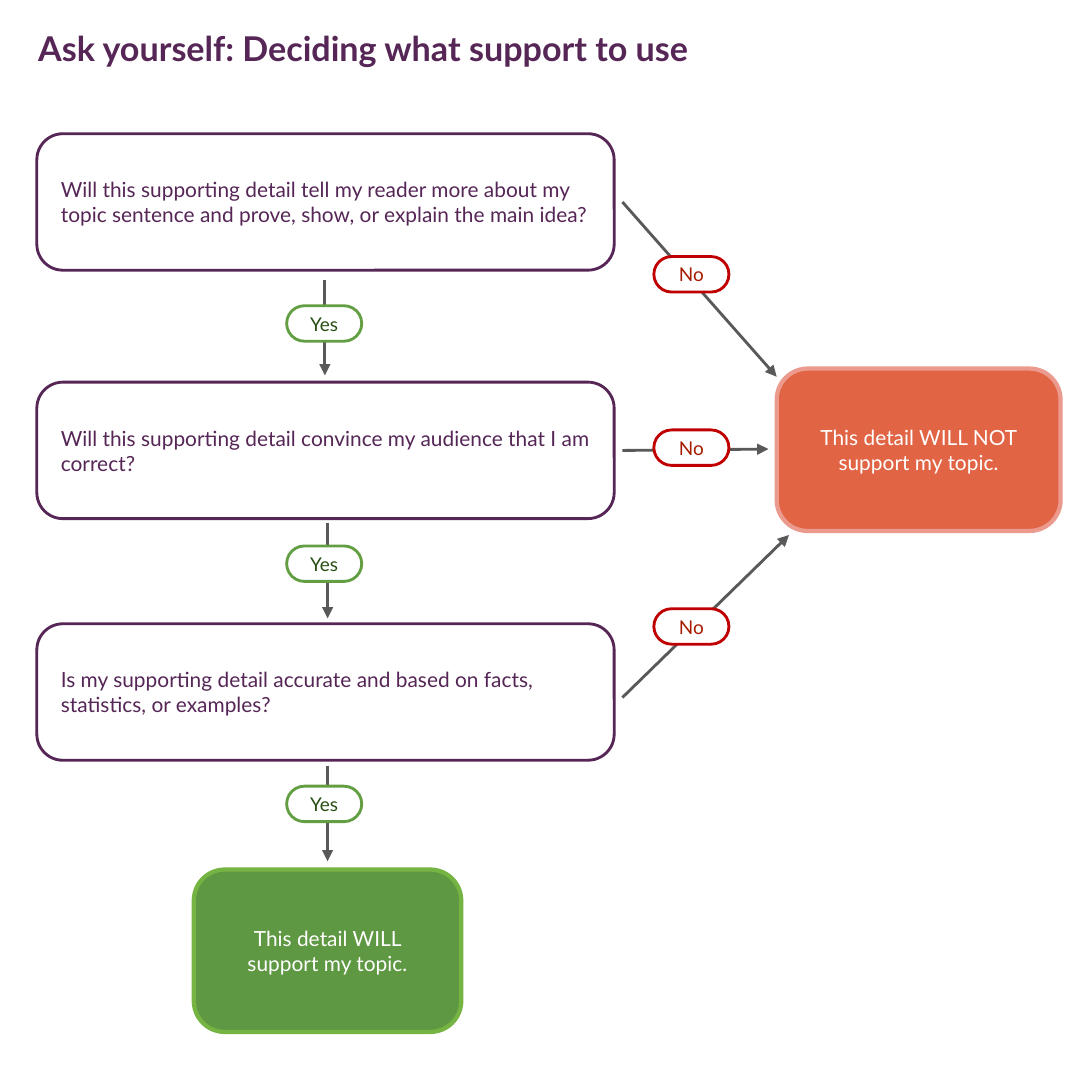
from dataclasses import dataclass

from lxml import etree
from pptx import Presentation
from pptx.dml.color import RGBColor
from pptx.enum.shapes import MSO_CONNECTOR, MSO_SHAPE
from pptx.enum.text import MSO_ANCHOR, MSO_AUTO_SIZE, PP_ALIGN
from pptx.oxml.ns import qn
from pptx.slide import Slide
from pptx.util import Inches, Pt

ROUNDED = MSO_SHAPE.ROUNDED_RECTANGLE
STRAIGHT = MSO_CONNECTOR.STRAIGHT
LEFT, CENTER = PP_ALIGN.LEFT, PP_ALIGN.CENTER
TOP, MIDDLE = MSO_ANCHOR.TOP, MSO_ANCHOR.MIDDLE
FONT = "Lato"
INSET = 0.12

COLORS = {
    "purple": "552656",
    "white": "FFFFFF",
    "orange": "E16445",
    "pink": "EC998E",
    "green": "5F9842",
    "lime": "75B443",
    "yes line": "639F42",
    "yes text": "274E13",
    "no line": "C00000",
    "no text": "A61C00",
    "gray": "595959",
}


@dataclass(frozen=True)
class BoxStyle:
    width: float
    height: float
    fill: str
    line: str
    text: str
    line_width: float = 1.5
    font_size: int = 11
    corner: float = 0.191
    alignment: PP_ALIGN = CENTER
    side_inset: float = INSET


@dataclass(frozen=True)
class Box:
    text: str
    left: float
    top: float
    style: BoxStyle


@dataclass(frozen=True)
class Arrow:
    start: tuple[float, float]
    end: tuple[float, float]


QUESTION = BoxStyle(4.23, 1, "white", "purple", "purple", alignment=LEFT)
REJECT = BoxStyle(2.08, 1.19, "orange", "pink", "white", line_width=2.25)
ACCEPT = BoxStyle(1.96, 1.19, "green", "lime", "white", line_width=2.25)
YES = BoxStyle(0.55, 0.26, "white", "yes line", "yes text",
               font_size=10, corner=0.5, side_inset=0)
NO = BoxStyle(0.55, 0.26, "white", "no line", "no text",
              font_size=10, corner=0.5)

QUESTIONS = [
    Box("Will this supporting detail tell my reader more about my topic "
        "sentence and prove, show, or explain the main idea?", 0.27, 0.98, QUESTION),
    Box("Will this supporting detail convince my audience that I am correct?",
        0.27, 2.8, QUESTION),
    Box("Is my supporting detail accurate and based on facts, statistics, "
        "or examples?", 0.27, 4.57, QUESTION),
]
OUTCOMES = [
    Box("This detail WILL NOT support my topic.", 5.69, 2.7, REJECT),
    Box("This detail WILL support my topic.", 1.42, 6.37, ACCEPT),
]
YES_ARROWS = [
    Arrow((x, 2.05 + 1.78 * step), (x, 2.75 + 1.78 * step))
    for step, x in enumerate((2.38, 2.4, 2.4))
]
NO_ARROWS = [
    Arrow((4.56, 1.48), (5.69, 2.76)),
    Arrow((4.56, 3.3), (5.63, 3.29)),
    Arrow((4.56, 5.11), (5.78, 3.92)),
]
ANSWERS = [Box("Yes", 2.1, 2.24 + 1.76 * step, YES) for step in range(3)]
ANSWERS += [Box("No", 4.79, top, NO) for top in (1.88, 3.15, 4.46)]


def color(name: str) -> RGBColor:
    return RGBColor.from_string(COLORS[name])


def write_text(shape, text: str, size: int, color_name: str, alignment: PP_ALIGN,
               anchor: MSO_ANCHOR, side_inset: float, bold: bool = False) -> None:
    frame = shape.text_frame
    frame.word_wrap = True
    frame.auto_size = MSO_AUTO_SIZE.NONE
    frame.vertical_anchor = anchor
    frame.margin_left = frame.margin_right = Inches(side_inset)
    frame.margin_top = frame.margin_bottom = Inches(INSET)
    frame.text = text
    paragraph = frame.paragraphs[0]
    paragraph.alignment = alignment
    paragraph.font.name = FONT
    paragraph.font.size = Pt(size)
    paragraph.font.bold = bold
    paragraph.font.color.rgb = color(color_name)


def add_title(slide: Slide, text: str) -> None:
    title = slide.shapes.title
    title.left, title.top = Inches(0.27), Inches(0.08)
    title.width, title.height = Inches(6.71), Inches(0.59)
    write_text(title, text, 18, "purple", LEFT, TOP, 0.01, bold=True)


def add_box(slide: Slide, box: Box) -> None:
    style = box.style
    shape = slide.shapes.add_shape(ROUNDED, Inches(box.left), Inches(box.top),
                                   Inches(style.width), Inches(style.height))
    shape.adjustments[0] = style.corner
    shape.shadow.inherit = False
    shape.fill.solid()
    shape.fill.fore_color.rgb = color(style.fill)
    shape.line.color.rgb = color(style.line)
    shape.line.width = Pt(style.line_width)
    write_text(shape, box.text, style.font_size, style.text, style.alignment,
               MIDDLE, style.side_inset)


def add_arrow(slide: Slide, arrow: Arrow) -> None:
    points = [Inches(value) for value in (*arrow.start, *arrow.end)]
    connector = slide.shapes.add_connector(STRAIGHT, *points)
    connector.line.color.rgb = color("gray")
    connector.line.width = Pt(1.5)
    line = connector.line._get_or_add_ln()
    etree.SubElement(line, qn("a:tailEnd"), type="triangle")
    etree.SubElement(connector._element.spPr, qn("a:effectLst"))


def main() -> None:
    presentation = Presentation()
    presentation.slide_width = presentation.slide_height = Inches(8)
    title_only = presentation.slide_layouts[5]
    slide = presentation.slides.add_slide(title_only)
    add_title(slide, "Ask yourself: Deciding what support to use")
    for box in QUESTIONS + OUTCOMES:
        add_box(slide, box)
    for arrow in YES_ARROWS + NO_ARROWS:
        add_arrow(slide, arrow)
    for answer in ANSWERS:
        add_box(slide, answer)
    presentation.save("out.pptx")


if __name__ == "__main__":
    main()
